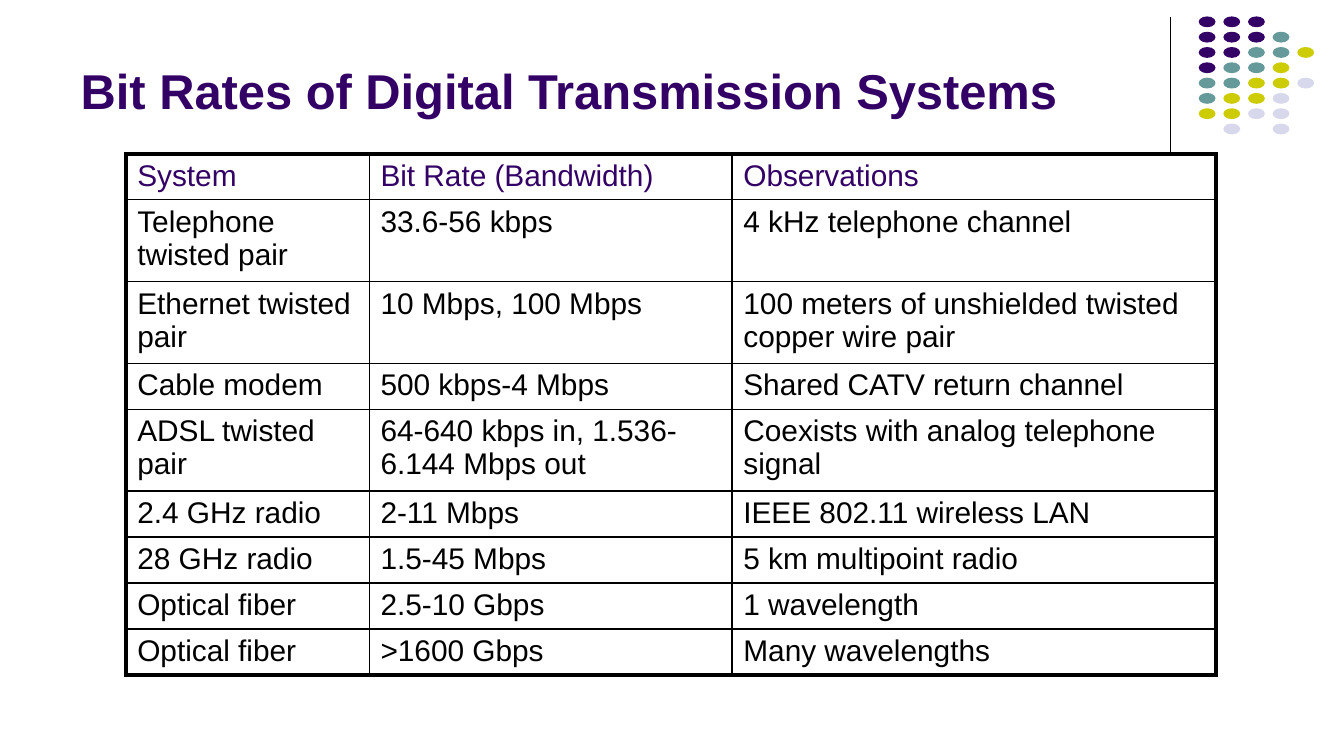
from lxml.etree import SubElement
from pptx import Presentation
from pptx.dml.color import RGBColor
from pptx.enum.shapes import MSO_CONNECTOR, MSO_SHAPE
from pptx.enum.text import MSO_ANCHOR, MSO_AUTO_SIZE, PP_ALIGN
from pptx.oxml.ns import qn
from pptx.util import Pt

PURPLE, BLACK = "330066", "000000"
DOT_COLORS = {"P": PURPLE, "T": "669999", "Y": "CCCC00", "L": "D8D8EC"}
DOT_ROWS = ["PPP", "PPPT", "PPTTY", "PTTY", "TTYYL", "TYYL", "YYLL", " L L"]

SYSTEMS = [
    ("System", "Bit Rate (Bandwidth)", "Observations"),
    ("Telephone twisted pair", "33.6-56 kbps", "4 kHz telephone channel"),
    ("Ethernet twisted pair", "10 Mbps, 100 Mbps",
     "100 meters of unshielded twisted copper wire pair"),
    ("Cable modem", "500 kbps-4 Mbps", "Shared CATV return channel"),
    ("ADSL twisted pair", "64-640 kbps in, 1.536-6.144 Mbps out",
     "Coexists with analog telephone signal"),
    ("2.4 GHz radio", "2-11 Mbps", "IEEE 802.11 wireless LAN"),
    ("28 GHz radio", "1.5-45 Mbps", "5 km multipoint radio"),
    ("Optical fiber", "2.5-10 Gbps", "1 wavelength"),
    ("Optical fiber", ">1600 Gbps", "Many wavelengths"),
]
COLUMN_WIDTHS = [130.3, 194.4, 259.2]
ONE_LINE, TWO_LINES = 24.6, 43.9
TWO_LINE_ROWS = {1, 2, 4}


def color(hex_value):
    return RGBColor.from_string(hex_value)


class SlideBuilder:
    font = "Arial"
    table_size = 16
    inner_border, outer_border = 1, 2.25

    def __init__(self, slide):
        self.slide = slide

    def add_run(self, paragraph, text, size, hex_value, bold=False):
        run = paragraph.add_run()
        run.text = text
        run.font.name = self.font
        run.font.size = Pt(size)
        run.font.bold = bold
        run.font.color.rgb = color(hex_value)

    def title(self, text, left, top, width, height):
        title = self.slide.shapes.title
        title.left, title.top = Pt(left), Pt(top)
        title.width, title.height = Pt(width), Pt(height)
        frame = title.text_frame
        frame.auto_size = MSO_AUTO_SIZE.NONE
        frame.vertical_anchor = MSO_ANCHOR.BOTTOM
        paragraph = frame.paragraphs[0]
        paragraph.alignment = PP_ALIGN.LEFT
        self.add_run(paragraph, text, 26.2, PURPLE, bold=True)

    def rule(self, x, top, bottom):
        rule = self.slide.shapes.add_connector(
            MSO_CONNECTOR.STRAIGHT, Pt(x), Pt(top), Pt(x), Pt(bottom))
        rule.line.color.rgb = color(BLACK)
        rule.line.width = Pt(0.75)
        SubElement(rule._element.spPr, qn("a:effectLst"))

    def dot_grid(self, left, top, step_x, step_y):
        group = self.slide.shapes.add_group_shape()
        for row, codes in enumerate(DOT_ROWS):
            for column, code in enumerate(codes):
                if code == " ":
                    continue
                dot = group.shapes.add_shape(
                    MSO_SHAPE.OVAL, Pt(left + column * step_x),
                    Pt(top + row * step_y), Pt(9), Pt(5.8))
                dot.shadow.inherit = False
                dot.fill.solid()
                dot.fill.fore_color.rgb = color(DOT_COLORS[code])
                dot.line.fill.background()

    def borders(self, cell, outer_sides):
        """Draw all four cell borders, thicker on the outer sides."""
        properties = cell._tc.get_or_add_tcPr()
        for index, side in enumerate("LRTB"):
            width = self.outer_border if side in outer_sides else self.inner_border
            line = SubElement(properties, qn(f"a:ln{side}"), w=str(Pt(width)))
            fill = SubElement(line, qn("a:solidFill"))
            SubElement(fill, qn("a:srgbClr"), val=BLACK)
            properties.insert(index, line)  # borders precede the fill

    def cell(self, cell, text, hex_value, outer_sides):
        cell.fill.background()
        cell.margin_left = cell.margin_right = Pt(6)
        cell.margin_top = cell.margin_bottom = Pt(3)
        self.borders(cell, outer_sides)
        self.add_run(cell.text_frame.paragraphs[0], text, self.table_size, hex_value)

    def table(self, rows, left, top):
        heights = [TWO_LINES if i in TWO_LINE_ROWS else ONE_LINE
                   for i in range(len(rows))]
        table = self.slide.shapes.add_table(
            len(rows), len(COLUMN_WIDTHS), Pt(left), Pt(top),
            Pt(sum(COLUMN_WIDTHS)), Pt(sum(heights))).table
        table.first_row = table.horz_banding = False
        for column, width in zip(table.columns, COLUMN_WIDTHS):
            column.width = Pt(width)
        last_row, last_column = len(rows) - 1, len(COLUMN_WIDTHS) - 1
        for r, texts in enumerate(rows):
            table.rows[r].height = Pt(heights[r])
            for c, text in enumerate(texts):
                edges = {"L": c == 0, "R": c == last_column,
                         "T": r == 0, "B": r == last_row}
                outer_sides = [side for side, outer in edges.items() if outer]
                self.cell(table.cell(r, c), text,
                          BLACK if r else PURPLE, outer_sides)


def main():
    presentation = Presentation()
    presentation.slide_width, presentation.slide_height = Pt(720), Pt(405)
    title_only = presentation.slide_layouts[5]
    builder = SlideBuilder(presentation.slides.add_slide(title_only))
    builder.rule(627, 8.9, 82.8)
    builder.dot_grid(642.2, 8.8, 13.2, 8.2)
    builder.title("Bit Rates of Digital Transmission Systems", 36, 7.2, 594, 60.5)
    builder.table(SYSTEMS, 67.6, 82.4)
    presentation.save("out.pptx")


if __name__ == "__main__":
    main()
